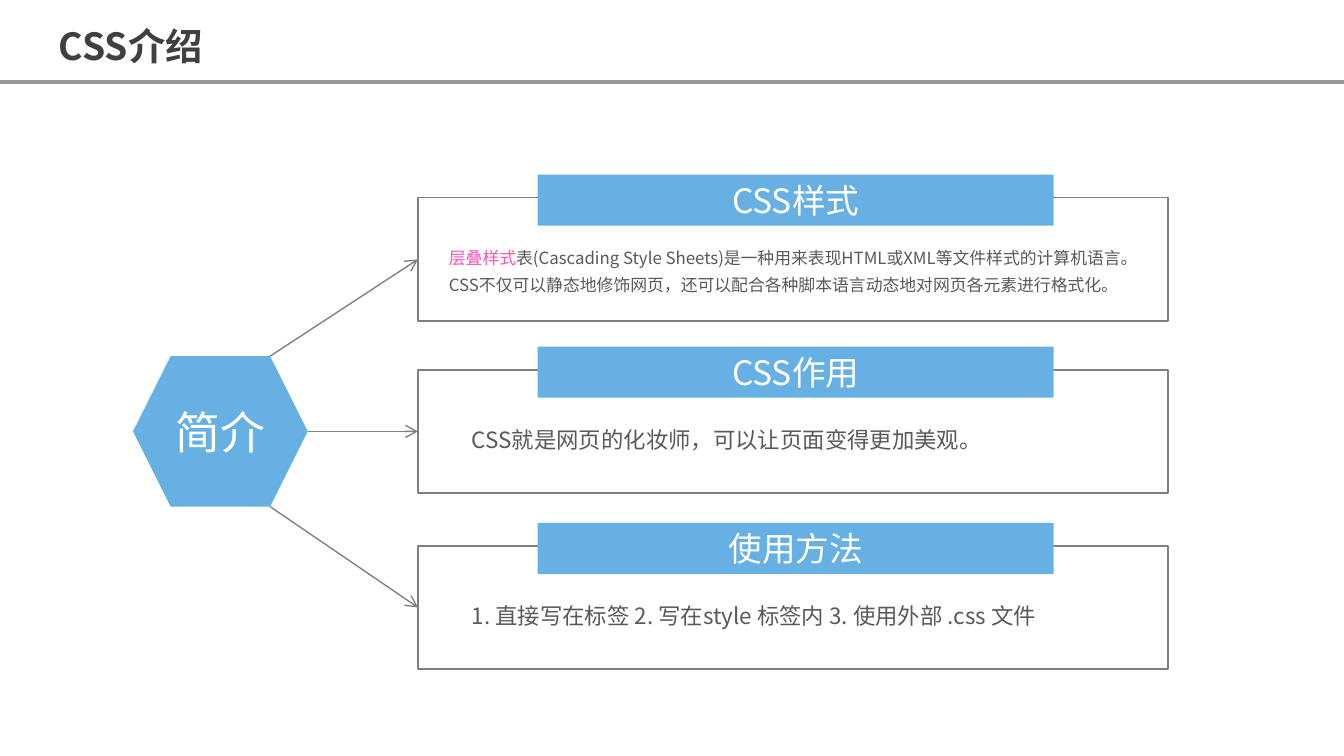
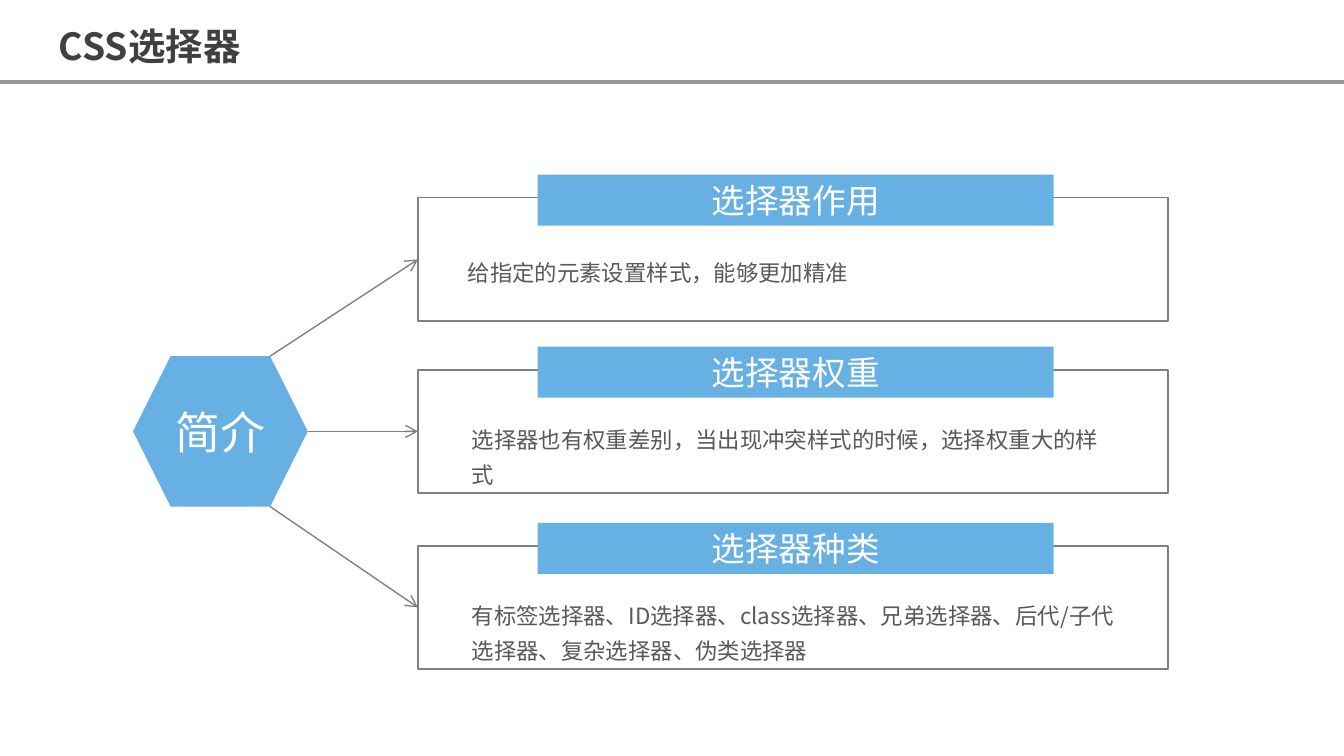
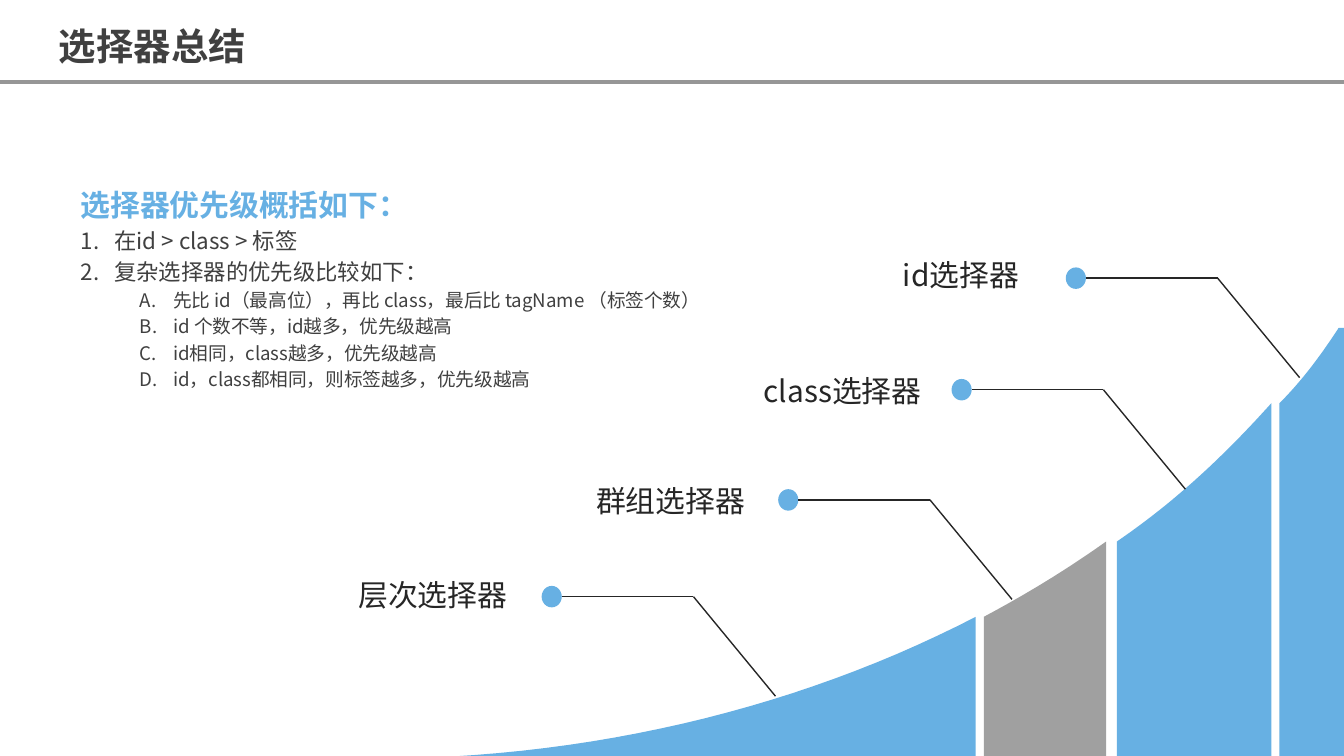
from lxml.etree import SubElement
from pptx import Presentation
from pptx.dml.color import RGBColor
from pptx.enum.shapes import MSO_CONNECTOR, MSO_SHAPE
from pptx.enum.text import MSO_ANCHOR, MSO_AUTO_SIZE, PP_ALIGN
from pptx.oxml.ns import qn
from pptx.util import Inches, Pt

FONT = "Noto Sans CJK SC"
WIDE = Inches(10)
HUES = {
    "blue": "67B0E3", "gray": "A0A0A0", "rule": "969696", "edge": "808080",
    "body": "595959", "dark": "404040", "ink": "262626", "pink": "FF51B7",
    "white": "FFFFFF",
}
PAD = {
    "margin_left": Inches(0.07), "margin_right": Inches(0.07),
    "margin_top": Inches(0.04), "margin_bottom": Inches(0.04),
    "word_wrap": True,
}
GROW = {"auto_size": MSO_AUTO_SIZE.SHAPE_TO_FIT_TEXT}
MID = {"vertical_anchor": MSO_ANCHOR.MIDDLE}
CENTER = {"alignment": PP_ALIGN.CENTER}
LOOSE = {"line_spacing": 1.3}
TOPS = (1.47, 2.75, 4.06)
BASE = 5.63


def apply(item, form):
    for key, value in form.items():
        setattr(item, key, value)


def hue(name):
    return RGBColor.from_string(HUES[name])


def add_run(para, text, size, color, bold=False):
    run = para.add_run()
    run.text = text
    apply(run.font, {"name": FONT, "size": Pt(size), "bold": bold})
    run.font.color.rgb = hue(color)
    SubElement(run.font._element, qn("a:ea"), typeface=FONT)


def add_list(para, kind, left):
    props = para._p.get_or_add_pPr()
    props.set("marL", str(Inches(left)))
    props.set("indent", str(Inches(-0.25)))
    SubElement(props, qn("a:buFont"), typeface="+mj-lt")
    SubElement(props, qn("a:buAutoNum"), type=kind)


def add_text(shapes, area, runs, size, form, para_form, bold=False):
    box = shapes.add_textbox(*map(Inches, area))
    apply(box.text_frame, form)
    para = box.text_frame.paragraphs[0]
    apply(para, para_form)
    for text, color in runs:
        add_run(para, text, size, color, bold)


def add_form(shapes, kind, area, fill=None, edge=None, text="", size=18):
    form = shapes.add_shape(kind, *map(Inches, area))
    paint(form, fill, edge)
    if text:
        apply(form.text_frame, PAD | MID)
        para = form.text_frame.paragraphs[0]
        apply(para, CENTER)
        add_run(para, text, size, "white")
    return form


def paint(form, fill, edge=None):
    form.shadow.inherit = False
    if fill:
        form.fill.solid()
        form.fill.fore_color.rgb = hue(fill)
    else:
        form.fill.background()
    if edge:
        form.line.color.rgb = hue(edge)
        form.line.width = Pt(1)
    else:
        form.line.fill.background()


def add_line(shapes, start, end, color, width=0.75, arrow=False):
    line = shapes.add_connector(
        MSO_CONNECTOR.STRAIGHT, *map(Inches, (*start, *end)))
    line.line.color.rgb = hue(color)
    line.line.width = Pt(width)
    if arrow:
        SubElement(line.line._get_or_add_ln(), qn("a:tailEnd"), type="arrow")
    SubElement(line._element.spPr, qn("a:effectLst"))
    return line


def add_slide(deck, title):
    shapes = deck.slides.add_slide(deck.slide_layouts[6]).shapes
    add_line(shapes, (0, 0.61), (10, 0.61), "rule", 1.75)
    add_text(shapes, (0.34, 0.06, 2.61, 0.47), [(title, "dark")], 20,
             GROW | {"word_wrap": True}, {"line_spacing": 1.2}, True)
    return shapes


def add_panel(shapes, top, head, runs, size=12, left=3.44, drop=0.32,
              width=4.96, height=0.31):
    box = add_form(shapes, MSO_SHAPE.RECTANGLE, (3.11, top, 5.58, 0.92),
                   edge="edge")
    add_form(shapes, MSO_SHAPE.RECTANGLE, (4, top - 0.17, 3.84, 0.38),
             "blue", text=head)
    add_text(shapes, (left, top + drop, width, height), runs, size,
             PAD | GROW, LOOSE)
    return box


def add_intro(deck, title, panels):
    shapes = add_slide(deck, title)
    add_form(shapes, MSO_SHAPE.HEXAGON, (0.99, 2.65, 1.3, 1.12), "blue",
             text="简介", size=24)
    starts = ((2.01, 2.65), (2.29, 3.21), (2.01, 3.77))
    for top, start, (head, runs, form) in zip(TOPS, starts, panels):
        box = add_panel(shapes, top, head, runs, **form)
        arrow = add_line(shapes, start, (3.11, top + 0.46), "edge", arrow=True)
        arrow.end_connect(box, 1)


def bezier(ends, steps=24):
    for step in range(steps + 1):
        t = step / steps
        parts = ((1 - t) ** 3, 3 * t * (1 - t) ** 2, 3 * t * t * (1 - t), t ** 3)
        yield tuple(sum(p * c for p, c in zip(parts, axis))
                    for axis in zip(*ends))


def add_bar(shapes, color, curve, right=None):
    side = right or curve[0][0]
    points = [*bezier(curve), (curve[-1][0], BASE), (side, BASE)]
    if right:
        points.append((right, curve[0][1]))
    first, *rest = [(Inches(x), Inches(y)) for x, y in points]
    path = shapes.build_freeform(*first)
    path.add_line_segments(rest, close=True)
    paint(path.convert_to_shape(), color)


def add_call(shapes, text, x, y, left, top):
    group = shapes.add_group_shape().shapes
    add_form(group, MSO_SHAPE.OVAL, (x, y, 0.15, 0.16), "blue")
    bend = (x + 1.13, y + 0.08)
    add_line(group, (bend[0] + 0.61, bend[1] + 0.74), bend, "ink")
    add_line(group, bend, (x + 0.15, bend[1]), "ink")
    add_text(shapes, (left, top, 1.54, 0.34), [(text, "ink")], 16,
             PAD | GROW, CENTER)


def add_notes(shapes, rows):
    box = shapes.add_textbox(*map(Inches, (0.53, 1.35, 4.87, 1.93)))
    frame = box.text_frame
    apply(frame, PAD)
    kinds = {
        "head": (16, "blue", True, None, 0),
        "item": (12, "dark", False, "arabicPeriod", 0.25),
        "sub": (10, "dark", False, "alphaUcPeriod", 0.69),
    }
    for index, (kind, text) in enumerate(rows):
        para = frame.add_paragraph() if index else frame.paragraphs[0]
        size, color, bold, mark, left = kinds[kind]
        apply(para, {"space_before": Pt(size * 0.2),
                     "level": int(kind == "sub")})
        if mark:
            add_list(para, mark, left)
        add_run(para, text, size, color, bold)


def add_recap(deck):
    shapes = add_slide(deck, "选择器总结")
    add_bar(shapes, "blue",
            ((7.26, 4.59), (6.12, 5.18), (4.78, 5.55), (3.35, 5.63)))
    add_bar(shapes, "gray",
            ((8.23, 4.03), (7.95, 4.23), (7.64, 4.42), (7.32, 4.59)))
    add_bar(shapes, "blue",
            ((9.96, 2.44), (9.83, 2.64), (9.69, 2.83), (9.52, 3)), 10.01)
    add_bar(shapes, "blue",
            ((9.46, 3), (9.12, 3.38), (8.75, 3.73), (8.31, 4.03)))
    add_notes(shapes, (
        ("head", "选择器优先级概括如下："),
        ("item", "在id > class > 标签"),
        ("item", "复杂选择器的优先级比较如下："),
        ("sub", "先比 id（最高位），再比 class，最后比 tagName （标签个数）"),
        ("sub", "id 个数不等，id越多，优先级越高"),
        ("sub", "id相同，class越多，优先级越高"),
        ("sub", "id，class都相同，则标签越多，优先级越高"),
    ))
    for call in (
        ("层次选择器", 4.03, 4.36, 2.45, 4.25),
        ("群组选择器", 5.79, 3.64, 4.22, 3.55),
        ("class选择器", 7.08, 2.82, 5.5, 2.73),
        ("id选择器", 7.93, 1.99, 6.38, 1.87),
    ):
        add_call(shapes, *call)


def main():
    deck = Presentation()
    apply(deck, {"slide_width": WIDE, "slide_height": WIDE * 9 // 16})
    add_intro(deck, "CSS介绍", (
        ("CSS样式", [
            ("层叠样式", "pink"),
            ("表(Cascading Style Sheets)是一种用来表现HTML或XML等文件样式的"
             "计算机语言。CSS不仅可以静态地修饰网页，还可以配合各种脚本语言"
             "动态地对网页各元素进行格式化。", "body"),
        ], {"size": 9, "left": 3.27, "drop": 0.29, "width": 5.35,
            "height": 0.45}),
        ("CSS作用",
         [("CSS就是网页的化妆师，可以让页面变得更加美观。", "body")], {}),
        ("使用方法",
         [("1. 直接写在标签 2. 写在style 标签内 3. 使用外部 .css 文件",
           "body")], {}),
    ))
    add_intro(deck, "CSS选择器", (
        ("选择器作用", [("给指定的元素设置样式，能够更加精准", "body")],
         {"left": 3.41, "drop": 0.36, "width": 5.35}),
        ("选择器权重",
         [("选择器也有权重差别，当出现冲突样式的时候，选择权重大的样式",
           "body")], {"height": 0.58}),
        ("选择器种类",
         [("有标签选择器、ID选择器、class选择器、兄弟选择器、后代/子代选择器、"
           "复杂选择器、伪类选择器", "body")], {"height": 0.58}),
    ))
    add_recap(deck)
    deck.save("out.pptx")


if __name__ == "__main__":
    main()
